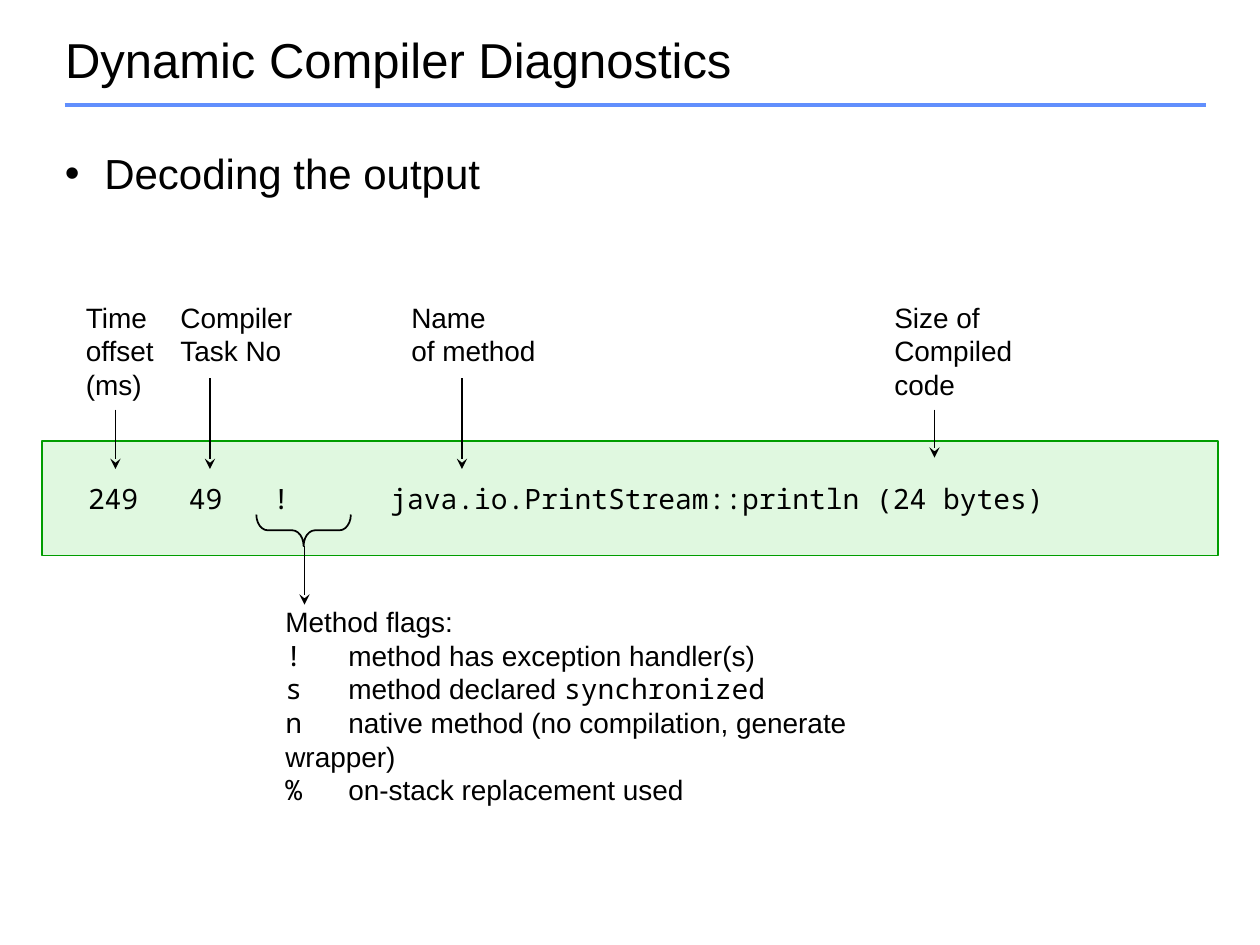
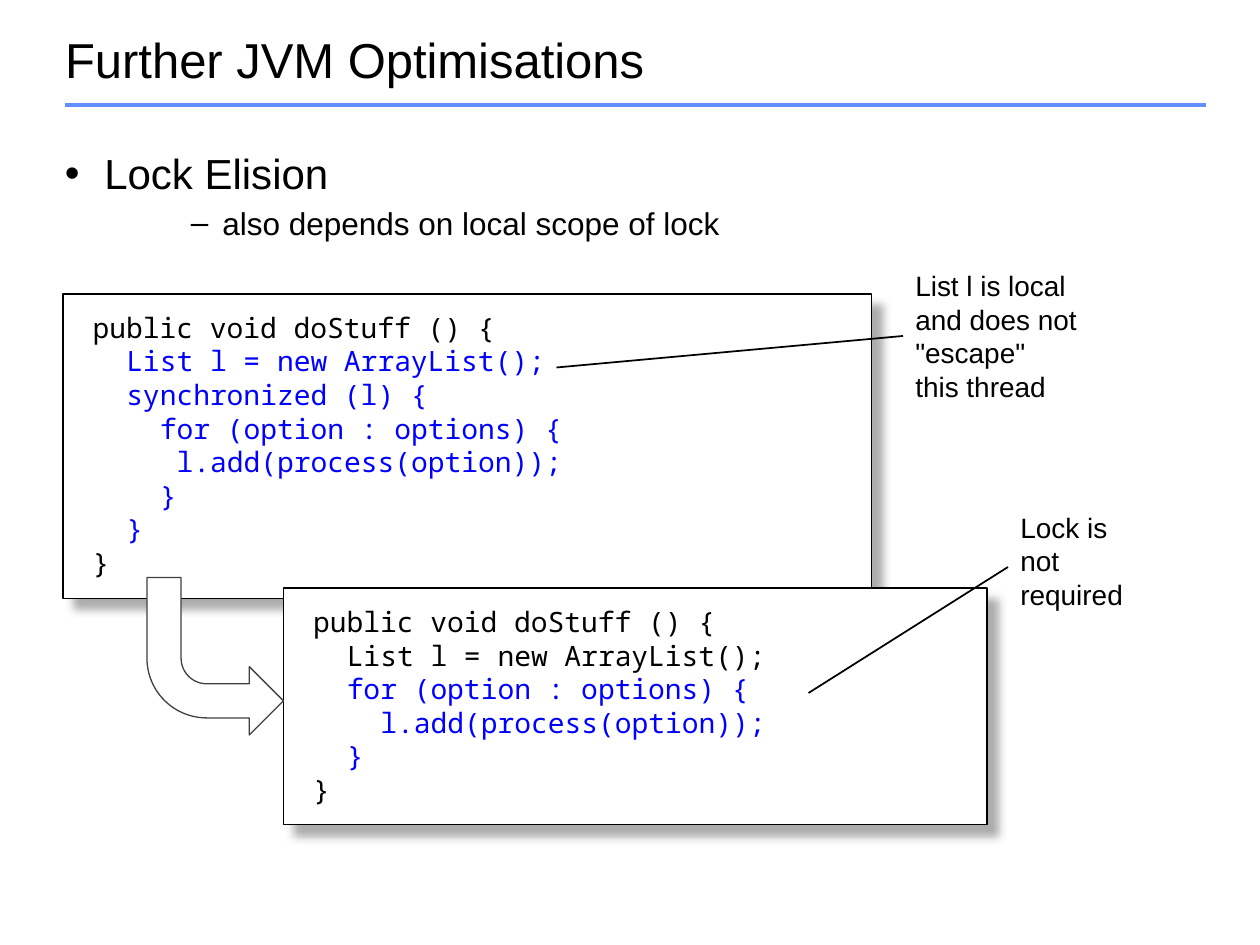
"""Build two slides on compiler diagnostics and lock elision."""
from dataclasses import dataclass
from typing import NamedTuple

from lxml import etree
from pptx import Presentation
from pptx import util as u
from pptx.dml.color import RGBColor
from pptx.enum import shapes, text
from pptx.oxml.ns import qn

Pt = u.Pt
BLACK = RGBColor(0x00, 0x00, 0x00)
WHITE = RGBColor(0xFF, 0xFF, 0xFF)
BLUE = RGBColor(0x00, 0x00, 0xFF)
RULE = RGBColor(0x61, 0x8F, 0xFD)
GREEN = RGBColor(0x00, 0x9D, 0x00)
PALE_GREEN = RGBColor(0xE0, 0xF8, 0xE0)
GREY = RGBColor(0x40, 0x40, 0x40)
SHADOW = RGBColor(0x91, 0x91, 0x91)
SANS, MONO = "Arial", "Noto Sans Mono"
CHAR = 9.6
SIZE = 16


class Box(NamedTuple):
    x: float
    y: float
    w: float
    h: float


class Run(NamedTuple):
    text: str
    font: str = SANS
    size: float = SIZE
    color: RGBColor = BLACK


@dataclass
class Bullet:
    text: str
    char: str
    size: float
    margin: float
    hang: float
    before: float = 0


@dataclass
class Label:
    box: Box
    lines: list[str]


@dataclass
class Line:
    x1: float
    y1: float
    x2: float
    y2: float
    arrow: bool = False
    color: RGBColor = BLACK
    width: float = 1


@dataclass
class CodeLine:
    indent: int
    text: str
    color: RGBColor = BLACK


def place(sp, box: Box) -> None:
    sp.left, sp.top, sp.width, sp.height = (Pt(v) for v in box)


def add_runs(p, *runs: Run) -> None:
    p.alignment = text.PP_ALIGN.LEFT
    for run in runs:
        r = p.add_run()
        r.text = run.text
        r.font.name, r.font.size = run.font, Pt(run.size)
        r.font.color.rgb = run.color


def paragraphs(tf, count: int) -> list:
    return [tf.paragraphs[0]] + [tf.add_paragraph() for _ in range(count - 1)]


def add_box(s, box: Box):
    sp = s.shapes.add_textbox(*(Pt(v) for v in box))
    sp.text_frame.word_wrap = True
    return sp


def add_shape(s, kind, box: Box, line: RGBColor, width: float = 0.75, fill: RGBColor | None = None):
    sp = s.shapes.add_shape(kind, *(Pt(v) for v in box))
    sp.shadow.inherit = False
    if fill is None:
        sp.fill.background()
    else:
        sp.fill.solid()
        sp.fill.fore_color.rgb = fill
    sp.line.color.rgb, sp.line.width = line, Pt(width)
    return sp


def add_line(s, line: Line) -> None:
    cx = s.shapes.add_connector(shapes.MSO_CONNECTOR.STRAIGHT, Pt(line.x1), Pt(line.y1), Pt(line.x2), Pt(line.y2))
    cx.line.color.rgb, cx.line.width = line.color, Pt(line.width)
    if line.arrow:
        etree.SubElement(cx.line._get_or_add_ln(), qn("a:tailEnd"), type="stealth")
    etree.SubElement(cx._element.spPr, qn("a:effectLst"))


def add_label(s, label: Label) -> None:
    tf = add_box(s, label.box).text_frame
    tf.word_wrap = False
    tf.auto_size = text.MSO_AUTO_SIZE.SHAPE_TO_FIT_TEXT
    for p, line in zip(paragraphs(tf, len(label.lines)), label.lines):
        add_runs(p, Run(line))


def add_code(s, box: Box, lines: list[CodeLine]) -> None:
    sp = add_shape(s, shapes.MSO_SHAPE.RECTANGLE, box, BLACK, fill=WHITE)
    effects = sp._element.spPr.find(qn("a:effectLst"))
    shadow = etree.SubElement(effects, qn("a:outerShdw"), blurRad=str(Pt(5)), dist=str(Pt(8.5)),
                              dir=str(45 * 60000), algn="tl", rotWithShape="0")
    color = etree.SubElement(shadow, qn("a:srgbClr"), val=str(SHADOW))
    etree.SubElement(color, qn("a:alpha"), val="75000")
    tf = sp.text_frame
    tf.vertical_anchor = text.MSO_ANCHOR.TOP
    tf.margin_left, tf.margin_top, tf.margin_bottom = Pt(17), Pt(9.4), Pt(9.4)
    for p, line in zip(paragraphs(tf, len(lines)), lines):
        add_runs(p, Run(line.text, MONO, color=line.color))
        p._p.get_or_add_pPr().set("marL", str(Pt(line.indent * CHAR)))


def add_slide(prs, title: str, bullets: list[Bullet]):
    s = prs.slides.add_slide(prs.slide_layouts[5])
    add_line(s, Line(37, 60, 689, 60, color=RULE, width=2))
    place(s.shapes.title, Box(30, 18, 660, 36))
    tf = s.shapes.title.text_frame
    tf.vertical_anchor = text.MSO_ANCHOR.MIDDLE
    tf.auto_size = text.MSO_AUTO_SIZE.NONE
    p = tf.paragraphs[0]
    p.line_spacing = 0.9
    add_runs(p, Run(title, size=28))
    tf = add_box(s, Box(30, 84, 660, 80)).text_frame
    for p, b in zip(paragraphs(tf, len(bullets)), bullets):
        p.line_spacing, p.space_before = 0.9, Pt(b.before)
        add_runs(p, Run(b.text, size=b.size))
        ppr = p._p.get_or_add_pPr()
        ppr.set("marL", str(Pt(b.margin)))
        ppr.set("indent", str(Pt(-b.hang)))
        etree.SubElement(ppr, qn("a:buFont"), typeface=SANS)
        etree.SubElement(ppr, qn("a:buChar"), char=b.char)
    return s


def diagnostics_slide(prs) -> None:
    s = add_slide(prs, "Dynamic Compiler Diagnostics", [Bullet("Decoding the output", "•", 24, 22.5, 22.5)])
    output = add_shape(s, shapes.MSO_SHAPE.RECTANGLE, Box(24, 252, 672, 65.5), GREEN, fill=PALE_GREEN)
    p = output.text_frame.paragraphs[0]
    add_runs(p, Run("\t249\t49\t!\tjava.io.PrintStream::println (24 bytes)", MONO))
    tabs = etree.SubElement(p._p.get_or_add_pPr(), qn("a:tabLst"))
    for column in (2, 8, 13, 20):
        etree.SubElement(tabs, qn("a:tab"), pos=str(Pt(column * CHAR)), algn="l")
    for label in (
        Label(Box(42, 168, 54, 65.5), ["Time", "offset", "(ms)"]),
        Label(Box(96, 168, 79, 46), ["Compiler", "Task No"]),
        Label(Box(228, 168, 86.5, 46), ["Name", "of method"]),
        Label(Box(504, 168, 83, 65.5), ["Size of", "Compiled", "code"]),
    ):
        add_label(s, label)
    for x, top, bottom in ((66, 234, 268), (120, 216, 268), (264, 216, 268), (534, 234, 261.5), (174, 312, 345.5)):
        add_line(s, Line(x, top, x, bottom, arrow=True))
    flags = [
        [Run("Method flags:")],
        [Run("!", MONO), Run("\tmethod has exception handler(s)")],
        [Run("s", MONO), Run("\tmethod declared "), Run("synchronized", MONO)],
        [Run("n", MONO), Run("\tnative method (no compilation, generate wrapper)")],
        [Run("%", MONO), Run("\ton-stack replacement used")],
    ]
    tf = add_box(s, Box(156, 342, 402, 104.5)).text_frame
    for p, runs in zip(paragraphs(tf, len(flags)), flags):
        add_runs(p, *runs)
    brace = add_shape(s, shapes.MSO_SHAPE.LEFT_BRACE, Box(164.5, 276, 18, 54), BLACK, 1)
    brace.rotation = 270
    brace.adjustments[0] = 0.36


def lock_slide(prs) -> None:
    s = add_slide(prs, "Further JVM Optimisations", [
        Bullet("Lock Elision", "•", 24, 22.5, 22.5),
        Bullet("also depends on local scope of lock", "–", 18, 90, 18, 5.4),
    ])
    add_code(s, Box(36, 168, 462, 174), [
        CodeLine(0, "public void doStuff () {"),
        CodeLine(2, "List l = new ArrayList();", BLUE),
        CodeLine(2, "synchronized (l) {", BLUE),
        CodeLine(4, "for (option : options) {", BLUE),
        CodeLine(5, "l.add(process(option));", BLUE),
        CodeLine(4, "}", BLUE),
        CodeLine(2, "}", BLUE),
        CodeLine(0, "}"),
    ])
    add_code(s, Box(162, 336, 402, 135), [
        CodeLine(0, "public void doStuff () {"),
        CodeLine(2, "List l = new ArrayList();"),
        CodeLine(2, "for (option : options) {", BLUE),
        CodeLine(4, "l.add(process(option));", BLUE),
        CodeLine(2, "}", BLUE),
        CodeLine(0, "}"),
    ])
    arrow = add_shape(s, shapes.MSO_SHAPE.BENT_ARROW, Box(84, 330, 78, 90), GREY, fill=WHITE)
    arrow._element.spPr.find(qn("a:xfrm")).set("flipV", "1")
    add_label(s, Label(Box(516, 150, 108, 85), ["List l is local", "and does not", "\"escape\"", "this thread"]))
    add_label(s, Label(Box(576, 288, 74, 65.5), ["Lock is", "not", "required"]))
    add_line(s, Line(516, 192, 318, 210))
    add_line(s, Line(576, 324, 462, 396))


def main() -> None:
    prs = Presentation()
    prs.slide_width, prs.slide_height = Pt(720), Pt(540)
    diagnostics_slide(prs)
    lock_slide(prs)
    prs.save("out.pptx")


if __name__ == "__main__":
    main()
